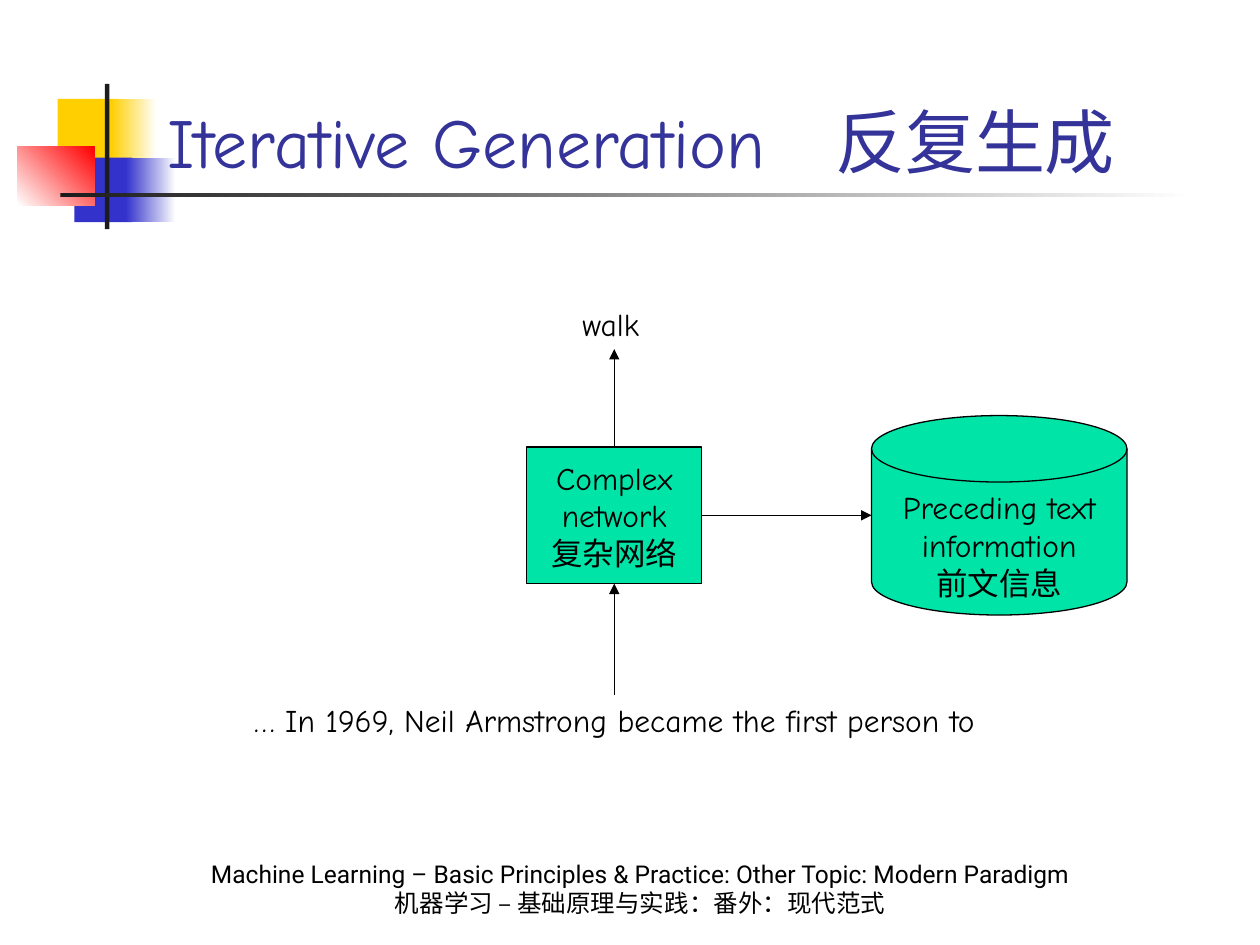
"""Build the slide on iterative text generation."""
from lxml import etree
from pptx import Presentation
from pptx.dml.color import RGBColor
from pptx.enum.shapes import MSO_CONNECTOR, MSO_SHAPE
from pptx.enum.text import MSO_ANCHOR, PP_ALIGN
from pptx.oxml.ns import qn
from pptx.util import Pt

RECT, DISK = MSO_SHAPE.RECTANGLE, MSO_SHAPE.FLOWCHART_MAGNETIC_DISK
STRAIGHT = MSO_CONNECTOR.STRAIGHT
TOP, MIDDLE, BOTTOM = MSO_ANCHOR.TOP, MSO_ANCHOR.MIDDLE, MSO_ANCHOR.BOTTOM
LEFT, CENTER = PP_ALIGN.LEFT, PP_ALIGN.CENTER

WHITE = RGBColor(0xFF, 0xFF, 0xFF)
BLACK = RGBColor(0x00, 0x00, 0x00)
CHARCOAL = RGBColor(0x1C, 0x1C, 0x1C)
YELLOW = RGBColor(0xFF, 0xCF, 0x01)
BLUE = RGBColor(0x33, 0x33, 0xCC)
RED = RGBColor(0xFF, 0x00, 0x00)
NAVY = RGBColor(0x33, 0x33, 0x99)
GREEN = RGBColor(0x00, 0xE4, 0xA8)


def write(tf, lines, size=18, font="Comic Neue", color=BLACK, align=CENTER, anchor=TOP):
    tf.word_wrap = True
    tf.vertical_anchor = anchor
    for i, line in enumerate(lines):
        p = tf.paragraphs[0] if i == 0 else tf.add_paragraph()
        p.alignment = align
        r = p.add_run()
        r.text = line
        r.font.size = Pt(size)
        r.font.name = font
        r.font.color.rgb = color


class Deck:
    """Holds the presentation, its line style and the current slide."""

    def __init__(self, width, height, line_width=0.75):
        self.prs = Presentation()
        self.prs.slide_width, self.prs.slide_height = Pt(width), Pt(height)
        self.line_width = Pt(line_width)
        self.s = self.prs.slides.add_slide(self.prs.slide_layouts[6])

    def shape(self, kind, box):
        sp = self.s.shapes.add_shape(kind, *map(Pt, box))
        sp.shadow.inherit = False
        return sp

    def block(self, box, start, end=None, angle=0):
        sp = self.shape(RECT, box)
        sp.line.fill.background()
        if end is None:
            sp.fill.solid()
            sp.fill.fore_color.rgb = start
            return
        sp.fill.gradient()
        sp.fill.gradient_angle = angle
        for stop, color in zip(sp.fill.gradient_stops, (start, end)):
            stop.color.rgb = color

    def node(self, kind, box, lines, **fmt):
        sp = self.shape(kind, box)
        sp.fill.solid()
        sp.fill.fore_color.rgb = GREEN
        sp.line.color.rgb = BLACK
        sp.line.width = self.line_width
        write(sp.text_frame, lines, **fmt)
        return sp

    def text(self, box, lines, **fmt):
        write(self.s.shapes.add_textbox(*map(Pt, box)).text_frame, lines, **fmt)

    def arrow(self, x1, y1, x2, y2):
        c = self.s.shapes.add_connector(STRAIGHT, *map(Pt, (x1, y1, x2, y2)))
        c.line.color.rgb = BLACK
        c.line.width = self.line_width
        etree.SubElement(c.line._get_or_add_ln(), qn("a:tailEnd"), type="triangle")
        etree.SubElement(c._element.spPr, qn("a:effectLst"))
        return c


def main():
    d = Deck(720, 540)

    d.block((33, 56.5, 34.5, 37), YELLOW)
    d.block((63.5, 56.5, 26, 37), YELLOW, WHITE)
    d.block((42.5, 90, 33, 37), BLUE)
    d.block((72, 90, 28.5, 37), BLUE, WHITE)
    d.block((10, 84, 44, 33.5), WHITE, RED, angle=45)
    d.block((60, 48, 2.5, 83), CHARCOAL)
    d.block((34.5, 110.5, 648, 2.25), CHARCOAL, WHITE)

    d.text((88.5, 36, 613.5, 72), ["Iterative Generation　反复生成"],
           size=40, color=NAVY, align=LEFT, anchor=BOTTOM)
    d.text((60, 492, 612, 36),
           ["Machine Learning – Basic Principles & Practice: Other Topic: Modern Paradigm",
            "机器学习 – 基础原理与实践：番外：现代范式"],
           size=14, font="Roboto", anchor=BOTTOM)
    d.text((0, 397, 702, 29), ["… In 1969, Neil Armstrong became the first person to"])
    d.text((292, 171, 114, 29), ["walk"])

    network = d.node(RECT, (301, 255.5, 100, 78), ["Complex network", "复杂网络"],
                     anchor=MIDDLE)
    d.node(DISK, (498, 237.5, 146, 114), ["Preceding text information", "前文信息"])

    d.arrow(351, 397, 351, 333.5).end_connect(network, 2)
    d.arrow(401, 294.5, 498, 294.5).begin_connect(network, 3)
    d.arrow(351, 255.5, 351, 199.5).begin_connect(network, 0)

    d.prs.save("out.pptx")


if __name__ == "__main__":
    main()
